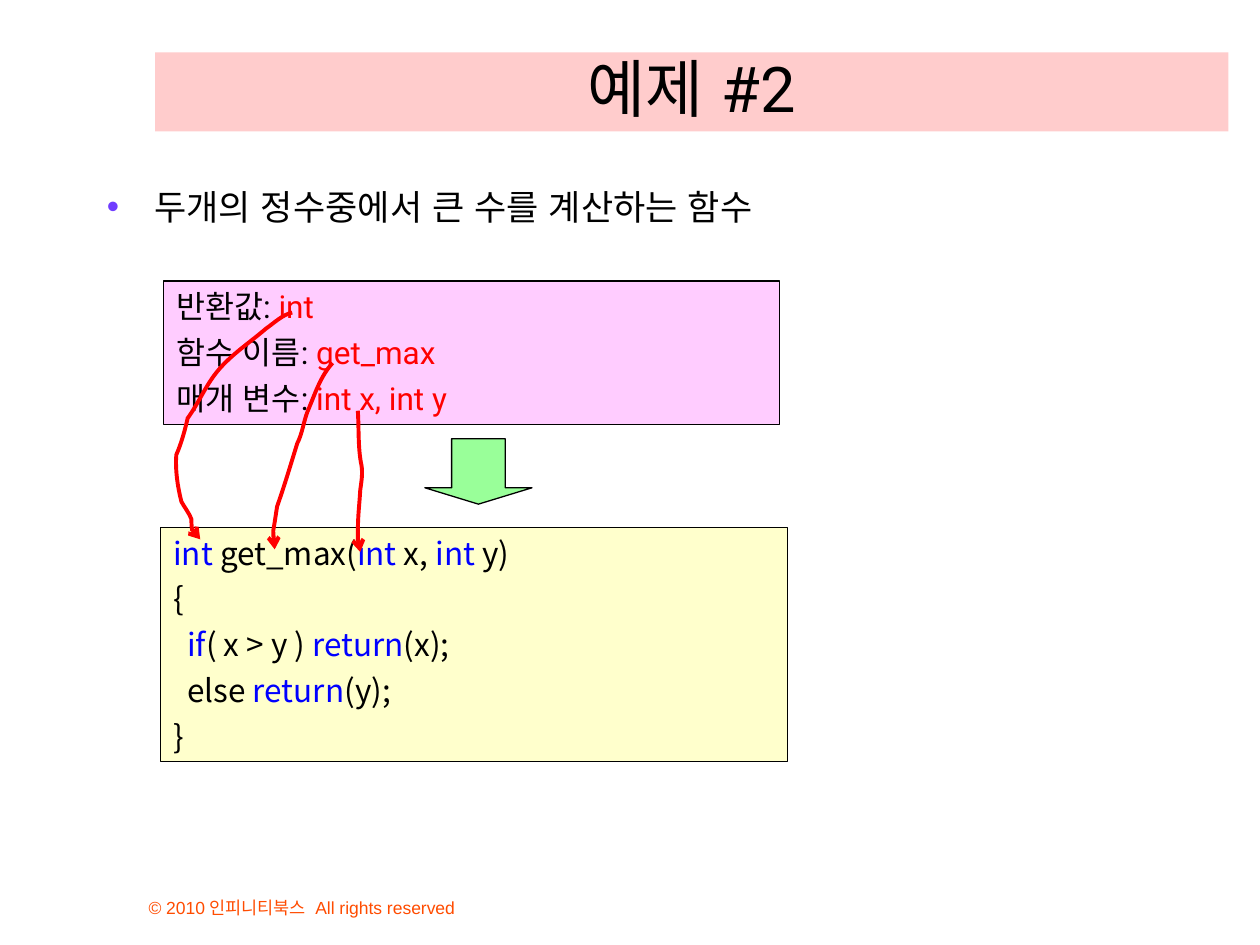
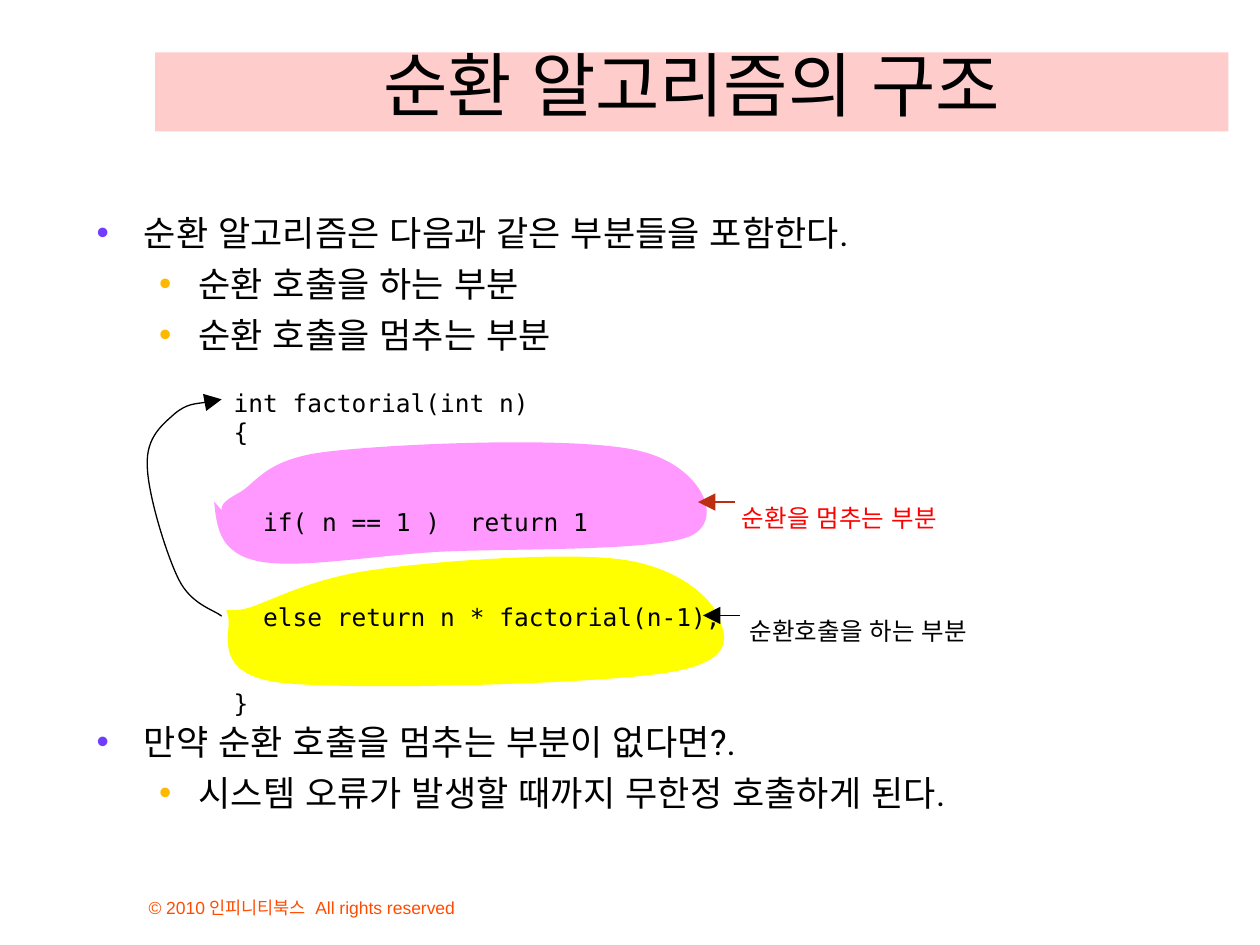
from dataclasses import dataclass
from typing import NamedTuple

from lxml import etree
from pptx import Presentation
from pptx import util as u
from pptx.dml.color import RGBColor
from pptx.enum import shapes, text
from pptx.oxml import ns

Pt = u.Pt
ANCHOR = text.MSO_ANCHOR
ALIGN = text.PP_ALIGN


@dataclass(frozen=True)
class Theme:
    black: str = "000000"
    red: str = "FF0000"
    keyword: str = "0000FF"
    band: str = "FFCCCC"
    footer: str = "FF4C00"
    bullets: tuple = ("703DFF", "FFB800")
    spec_fill: str = "FFCCFF"
    code_fill: str = "FFFFCC"
    arrow_fill: str = "99FF99"
    stop_fill: str = "FF99FF"
    call_fill: str = "FFFF00"
    stop_arrow: str = "BD2E11"
    body_font: str = "Roboto"
    korean_font: str = "Noto Sans CJK KR"
    east_asian_font: str = "Arial"
    code_font: str = "DejaVu Sans Mono"
    footer_font: str = "Arial"
    body_size: float = 20
    box_size: float = 18
    code_size: float = 14
    footer_size: float = 10
    body_gap: float = 5
    box_gap: float = 4.5
    thin: float = 0.75
    thick: float = 2.25


T = Theme()


class Box(NamedTuple):
    left: float
    top: float
    width: float
    height: float


class Run(NamedTuple):
    text: str
    color: str = T.black


class Para(NamedTuple):
    runs: tuple
    level: int = 0


class Head(NamedTuple):
    kind: str
    size: str


@dataclass(frozen=True)
class Panel:
    box: Box
    fill: str
    font: str
    paras: tuple


TRIANGLE = Head("triangle", "lg")
OPEN_ARROW = Head("arrow", "med")


@dataclass(frozen=True)
class Curve:
    start: tuple
    beziers: tuple
    fill: str | None = None
    line: str | None = None
    width: float = T.thin
    head: Head = TRIANGLE
    closed: bool = False


@dataclass(frozen=True)
class Label:
    box: Box
    text: str
    color: str
    arrow_from: tuple
    arrow_color: str


TITLE_BOX = Box(88.6, 29.9, 613.4, 45.2)
FOOTER_BOX = Box(77.8, 498.2, 275.8, 30.2)
INDENTS = ((27, -27), (58.2, -22.5))
ARROW_LENGTH = 20.9


def rgb(color: str) -> RGBColor:
    return RGBColor.from_string(color)


def place(sp, box: Box) -> None:
    sp.left, sp.top, sp.width, sp.height = map(Pt, box)


def add_bullet(p, level: int) -> None:
    pPr = p._p.get_or_add_pPr()
    margin, indent = INDENTS[level]
    pPr.set("marL", str(Pt(margin)))
    pPr.set("indent", str(Pt(indent)))
    color = etree.SubElement(pPr, ns.qn("a:buClr"))
    etree.SubElement(color, ns.qn("a:srgbClr"), val=T.bullets[level])
    etree.SubElement(pPr, ns.qn("a:buFont"), typeface="Arial")
    etree.SubElement(pPr, ns.qn("a:buChar"), char="•")


def write(tf, paras, *, font=T.body_font, size=T.body_size, anchor=ANCHOR.TOP,
          align=ALIGN.LEFT, wrap=True, bullets=False, spacing=None, gap=0) -> None:
    tf.word_wrap = wrap
    tf.auto_size = text.MSO_AUTO_SIZE.NONE
    tf.vertical_anchor = anchor
    tf.margin_left = tf.margin_right = Pt(7.2)
    tf.margin_top = tf.margin_bottom = Pt(3.6)
    for i, para in enumerate(paras):
        p = tf.add_paragraph() if i else tf.paragraphs[0]
        p.alignment = align
        p.level = para.level
        p.space_before = Pt(gap if i else 0)
        if spacing:
            p.line_spacing = spacing
        if bullets:
            add_bullet(p, para.level)
        for run in para.runs:
            r = p.add_run()
            r.text = run.text
            r.font.name = font
            r.font.size = Pt(size)
            r.font.color.rgb = rgb(run.color)
            etree.SubElement(r._r.get_or_add_rPr(), ns.qn("a:ea"),
                             typeface=T.east_asian_font)


def lines(*texts: str, color: str = T.black) -> tuple:
    return tuple(Para((Run(t, color),)) for t in texts)


def add_text(s, box: Box, paras, **fmt) -> None:
    write(s.shapes.add_textbox(*map(Pt, box)).text_frame, paras, **fmt)


def add_shape(s, kind, box: Box, fill: str):
    sp = s.shapes.add_shape(kind, *map(Pt, box))
    sp.shadow.inherit = False
    sp.fill.solid()
    sp.fill.fore_color.rgb = rgb(fill)
    set_line(sp, T.black)
    return sp


def add_panel(s, panel: Panel) -> None:
    sp = add_shape(s, shapes.MSO_SHAPE.RECTANGLE, panel.box, panel.fill)
    write(sp.text_frame, panel.paras, font=panel.font, size=T.box_size, gap=T.box_gap)


def set_line(sp, color: str, width: float = T.thin, head: Head | None = None) -> None:
    sp.line.color.rgb = rgb(color)
    sp.line.width = Pt(width)
    if head:
        etree.SubElement(sp.line._get_or_add_ln(), ns.qn("a:tailEnd"),
                         type=head.kind, w=head.size, len=head.size)


def bend(sp) -> None:
    segments = list(sp._element.iter(ns.qn("a:lnTo")))
    for first, second, third in zip(segments[::3], segments[1::3], segments[2::3]):
        cubic = etree.Element(ns.qn("a:cubicBezTo"))
        first.addprevious(cubic)
        for segment in (first, second, third):
            cubic.append(segment[0])
            segment.getparent().remove(segment)


def add_curve(s, curve: Curve) -> None:
    x, y = curve.start
    builder = s.shapes.build_freeform(100 * x, 100 * y, scale=Pt(1) / 100)
    builder.add_line_segments(
        [(100 * b[i], 100 * b[i + 1]) for b in curve.beziers for i in (0, 2, 4)],
        close=curve.closed)
    sp = builder.convert_to_shape()
    bend(sp)
    sp.shadow.inherit = False
    if curve.fill:
        sp.fill.solid()
        sp.fill.fore_color.rgb = rgb(curve.fill)
    else:
        sp.fill.background()
    if curve.line:
        set_line(sp, curve.line, curve.width, curve.head)
    else:
        sp.line.fill.background()


def add_label(s, label: Label) -> None:
    add_text(s, label.box, lines(label.text, color=label.color),
             font=T.korean_font, size=T.code_size, wrap=False)
    x, y = label.arrow_from
    c = s.shapes.add_connector(shapes.MSO_CONNECTOR.STRAIGHT, Pt(x), Pt(y),
                               Pt(x - ARROW_LENGTH), Pt(y))
    set_line(c, label.arrow_color, head=TRIANGLE)
    etree.SubElement(c._element.spPr, ns.qn("a:effectLst"))


def add_slide(prs, title: str, title_size: float):
    s = prs.slides.add_slide(prs.slide_layouts[5])
    add_text(s, FOOTER_BOX,
             lines("© 2010 인피니티북스  All rights reserved", color=T.footer),
             font=T.footer_font, size=T.footer_size, anchor=ANCHOR.BOTTOM)
    sp = s.shapes.title
    place(sp, TITLE_BOX)
    sp.fill.solid()
    sp.fill.fore_color.rgb = rgb(T.band)
    write(sp.text_frame, lines(title), size=title_size,
          anchor=ANCHOR.BOTTOM, align=ALIGN.CENTER)
    return s


def keyword(word: str) -> Run:
    return Run(word, T.keyword)


SPEC = Panel(Box(93.6, 160.6, 351.9, 82.1), T.spec_fill, T.body_font, tuple(
    Para((Run(name), Run(value, T.red))) for name, value in (
        ("반환값: ", "int"), ("함수 이름:", " get_max"), ("매개 변수: ", "int x, int y"))))

GET_MAX = Panel(Box(91.9, 301.5, 358, 133.9), T.code_fill, T.korean_font, (
    Para((keyword("int"), Run(" get_max("), keyword("int"), Run(" x, "),
          keyword("int"), Run(" y)"))),
    Para((Run("{"),)),
    Para((Run("  "), keyword("if"), Run("( x > y ) "), keyword("return"), Run("(x);"))),
    Para((Run("  else "), keyword("return"), Run("(y);"))),
    Para((Run("}"),))))

SPEC_TO_CODE = (
    ((167, 178.6), (
        (161.3, 180, 157, 184.3, 151.9, 187.9), (141.8, 196.6, 130.3, 203.8, 122.4, 214.6),
        (116.6, 222.5, 113, 231.1, 107.3, 239), (105.8, 245.5, 103.7, 253.4, 100.8, 259.9),
        (100.1, 268.6, 101.5, 277.9, 103.7, 286.6), (105.1, 289.4, 108, 293, 109.4, 296.6),
        (109.4, 297.4, 109.4, 304.6, 110.9, 306), (111.6, 306.7, 114.5, 308.2, 114.5, 308.2))),
    ((190.1, 207.4), (
        (182.9, 215.3, 180, 225.4, 175.7, 235.4), (173.5, 241.2, 172.8, 247.7, 169.9, 253.4),
        (166.3, 265, 162.7, 277.2, 158.4, 289.4), (157.7, 293.8, 157, 298.8, 156.2, 303.1),
        (156.2, 306.7, 157, 313.9, 157, 313.9))),
    ((204.5, 234.7), (
        (205.2, 244.1, 204.5, 256.3, 206.6, 265.7), (207.4, 270.7, 206.6, 275, 205.9, 280.1),
        (205.2, 291.6, 204.5, 293.8, 204.5, 307.4), (204.5, 310.3, 205.9, 313.2, 205.9, 315.4))),
)

CALL_BLOB = Curve((130.3, 352.1), (
    (128.2, 344.9, 128.9, 351.4, 143.3, 347), (157.7, 342, 180, 329.8, 215.3, 325.4),
    (250.6, 320.4, 322.6, 315.4, 355, 319.7), (387.4, 324, 406.1, 341.3, 410.4, 352.1),
    (414.7, 362.9, 421.9, 378, 380.9, 384.5), (339.1, 391, 202.3, 394.6, 160.6, 390.2),
    (118.8, 385.2, 133.2, 359.3, 130.3, 352.1)), fill=T.call_fill, closed=True)
STOP_BLOB = Curve((126.7, 291.6), (
    (126.7, 289.4, 126, 287.3, 136.8, 281.5), (146.9, 275.8, 151.9, 261.4, 190.1, 257.8),
    (228.2, 253.4, 331.9, 249.1, 365.8, 257.8), (399.6, 265.7, 414.7, 295.9, 395.3, 306),
    (375.8, 315.4, 290.2, 313.2, 249.1, 315.4), (207.4, 318.2, 167.8, 325.4, 146.2, 320.4),
    (125.3, 315.4, 123.8, 301, 122.4, 286.6)), fill=T.stop_fill)
RECURSION = Curve((126.7, 352.1), (
    (122.4, 348.5, 109.4, 345.6, 102.2, 331.2), (95, 316.8, 84.2, 281.5, 84.2, 265.7),
    (83.5, 249.8, 92.9, 242.6, 100.1, 236.2), (107.3, 230.4, 121, 229.7, 126.7, 228.2)),
    line=T.black)

FACTORIAL = (
    (Box(126.4, 205.9, 184.3, 64.8), ("int factorial(int n)", "{")),
    (Box(126.4, 271.4, 296.6, 54), ("  if( n == 1 )  return 1",)),
    (Box(126.4, 325.2, 296.6, 54.7), ("  else return n * factorial(n-1);",)),
    (Box(126.4, 384.5, 19.4, 34.6), ("}",)),
)

LABELS = (
    Label(Box(416.9, 283.7, 131.8, 24.5), "순환을 멈추는 부분", T.red,
          (419.8, 286.9), T.stop_arrow),
    Label(Box(421.2, 348.5, 144.7, 24.5), "순환호출을 하는 부분", T.black,
          (422.6, 351.7), T.black),
)

OUTLINES = (
    (Box(48.2, 117.4, 623.5, 95.8), (
        Para((Run("순환 알고리즘은 다음과 같은 부분들을 포함한다."),)),
        Para((Run("순환 호출을 하는 부분"),), 1),
        Para((Run("순환 호출을 멈추는 부분"),), 1))),
    (Box(48.2, 408.2, 623.5, 95.8), (
        Para((Run("만약 순환 호출을 멈추는 부분이 없다면?."),)),
        Para((Run("시스템 오류가 발생할 때까지 무한정 호출하게 된다."),), 1))),
)


def build_get_max(prs) -> None:
    s = add_slide(prs, "예제 #2", 36)
    add_text(s, Box(54, 105.1, 646.6, 29.5),
             lines("두개의 정수중에서 큰 수를 계산하는 함수"), bullets=True, spacing=0.9)
    add_panel(s, SPEC)
    add_panel(s, GET_MAX)
    sp = add_shape(s, shapes.MSO_SHAPE.DOWN_ARROW, Box(242.8, 250.7, 61.2, 37.4), T.arrow_fill)
    sp.adjustments[0], sp.adjustments[1] = 0.5, 0.25
    for start, beziers in SPEC_TO_CODE:
        add_curve(s, Curve(start, beziers, line=T.red, width=T.thick, head=OPEN_ARROW))


def build_recursion(prs) -> None:
    s = add_slide(prs, "순환 알고리즘의 구조", 40)
    for curve in (CALL_BLOB, STOP_BLOB, RECURSION):
        add_curve(s, curve)
    for box, code in FACTORIAL:
        add_text(s, box, lines(*code), font=T.code_font, size=T.code_size, anchor=ANCHOR.MIDDLE)
    for label in LABELS:
        add_label(s, label)
    for box, paras in OUTLINES:
        add_text(s, box, paras, bullets=True, gap=T.body_gap)


def main() -> None:
    prs = Presentation()
    prs.slide_width, prs.slide_height = Pt(720), Pt(540)
    build_get_max(prs)
    build_recursion(prs)
    prs.save("out.pptx")


if __name__ == "__main__":
    main()
